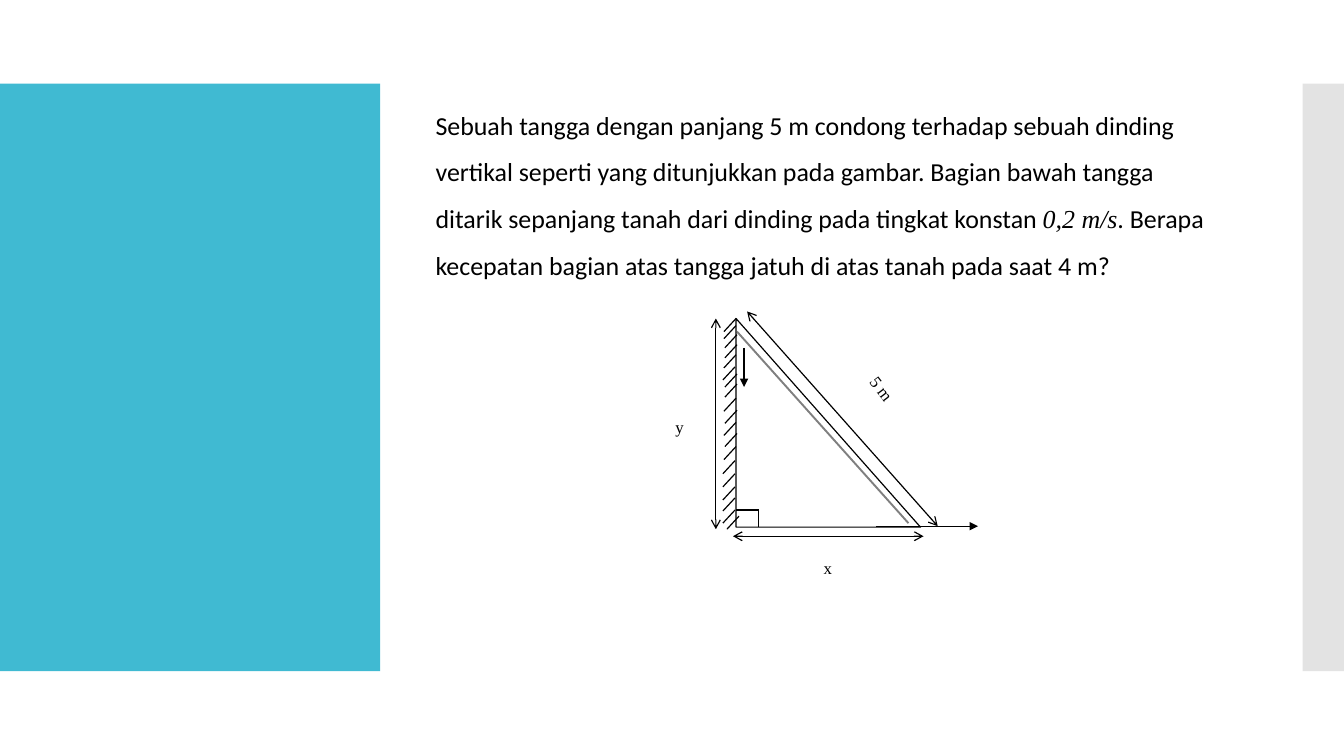
from lxml import etree
from pptx import Presentation
from pptx.dml.color import RGBColor
from pptx.enum.shapes import MSO_CONNECTOR, MSO_SHAPE
from pptx.enum.text import MSO_ANCHOR, PP_ALIGN
from pptx.oxml.ns import qn
from pptx.util import Pt

PX = 9144
STRAIGHT = MSO_CONNECTOR.STRAIGHT
RECTANGLE, RIGHT_TRIANGLE = MSO_SHAPE.RECTANGLE, MSO_SHAPE.RIGHT_TRIANGLE
MIDDLE, CENTER = MSO_ANCHOR.MIDDLE, PP_ALIGN.CENTER
TEAL = RGBColor(0x40, 0xBA, 0xD2)
GRAY = RGBColor(0xC8, 0xC8, 0xC8)
WHITE = RGBColor(0xFF, 0xFF, 0xFF)
BLACK = RGBColor(0x00, 0x00, 0x00)

prs = Presentation()
prs.slide_width, prs.slide_height = 1333 * PX, 750 * PX
slide = prs.slides.add_slide(prs.slide_layouts[1])
title = slide.shapes.title
title._element.getparent().remove(title._element)


def add_block(preset, left, top, width, height, color):
    block = slide.shapes.add_shape(preset, left * PX, top * PX, width * PX, height * PX)
    block.shadow.inherit = False
    block.fill.solid()
    block.fill.fore_color.rgb = color
    block.line.fill.background()
    return block


def add_line(x1, y1, x2, y2, head=None, tail=None, width=0.85):
    line = slide.shapes.add_connector(STRAIGHT, x1 * PX, y1 * PX, x2 * PX, y2 * PX)
    line.line.color.rgb = BLACK
    line.line.width = Pt(width)
    for end, arrow in (("a:headEnd", head), ("a:tailEnd", tail)):
        if arrow:
            etree.SubElement(line.line._ln, qn(end), type=arrow)
    etree.SubElement(line._element.spPr, qn("a:effectLst"))
    return line


add_block(RECTANGLE, 0, 83, 377, 583, TEAL)
side_band = add_block(RECTANGLE, 1292, 83, 41, 583, GRAY)

problem = slide.placeholders[1]
problem.left, problem.top, problem.width, problem.height = 422 * PX, 84 * PX, 800 * PX, 203 * PX
problem.text_frame.vertical_anchor = MIDDLE
statement = problem.text_frame.paragraphs[0]
statement.line_spacing = 1.5
statement.space_before = Pt(0)
statement_props = statement._p.get_or_add_pPr()
statement_props.set("marL", "0")
statement_props.set("indent", "0")
etree.SubElement(statement_props, qn("a:buNone"))
for words, font_name, italic in (
    ("Sebuah tangga dengan panjang 5 m condong terhadap sebuah dinding vertikal seperti yang "
     "ditunjukkan pada gambar. Bagian bawah tangga ditarik sepanjang tanah dari dinding pada "
     "tingkat konstan ", "Calibri", False),
    ("0,2 m/s", "Times New Roman", True),
    (". Berapa kecepatan bagian atas tangga jatuh di atas tanah pada saat 4 m?", "Calibri", False),
):
    run = statement.add_run()
    run.text = words
    run.font.name, run.font.size, run.font.italic = font_name, Pt(18.5), italic
    run.font.color.rgb = BLACK

triangle = add_block(RIGHT_TRIANGLE, 730, 316, 183, 207, WHITE)
triangle.line.color.rgb = BLACK
triangle.line.width = Pt(0.85)

for x, y in (
    (730, 316), (730, 323), (731, 332), (731, 342), (730, 352), (729, 364), (731, 371),
    (731, 381), (730, 395), (731, 407), (730, 419), (731, 430), (730, 443), (729, 457),
    (729, 470), (729, 483), (729, 494), (729, 506), (733, 512),
):
    add_line(x, y, x - 12, y + 13)

for dimension in ((710, 316, 710, 525), (916, 532, 727, 532), (930, 522, 741, 309)):
    add_line(*dimension, head="arrow", tail="arrow")

ladder = add_line(731, 329, 901, 519, width=1.35)
for fill_owner in (side_band, ladder):
    color_element = fill_owner._element.spPr.find(".//" + qn("a:srgbClr"))
    etree.SubElement(color_element, qn("a:alpha"), val="50000")

for motion in ((869, 522, 970, 522), (738, 345, 738, 384)):
    add_line(*motion, tail="triangle")
for corner_side in ((730, 506, 752, 506), (752, 523, 752, 505)):
    add_line(*corner_side)

for name, left, top, width, height, angle in (
    ("y", 648, 399, 52, 45, 0),
    ("x", 795, 539, 52, 45, 0),
    ("5 m", 844, 358, 64, 54, 52.7),
):
    label = slide.shapes.add_textbox(left * PX, top * PX, width * PX, height * PX)
    label.rotation = angle
    label.text_frame.word_wrap = True
    label.text_frame.vertical_anchor = MIDDLE
    label.text_frame.text = name
    paragraph = label.text_frame.paragraphs[0]
    paragraph.alignment = CENTER
    paragraph.line_spacing = 1.15
    paragraph.space_after = Pt(10)
    font = paragraph.runs[0].font
    font.name, font.size = "Times New Roman", Pt(12)
    font.color.rgb = BLACK

prs.save("out.pptx")
